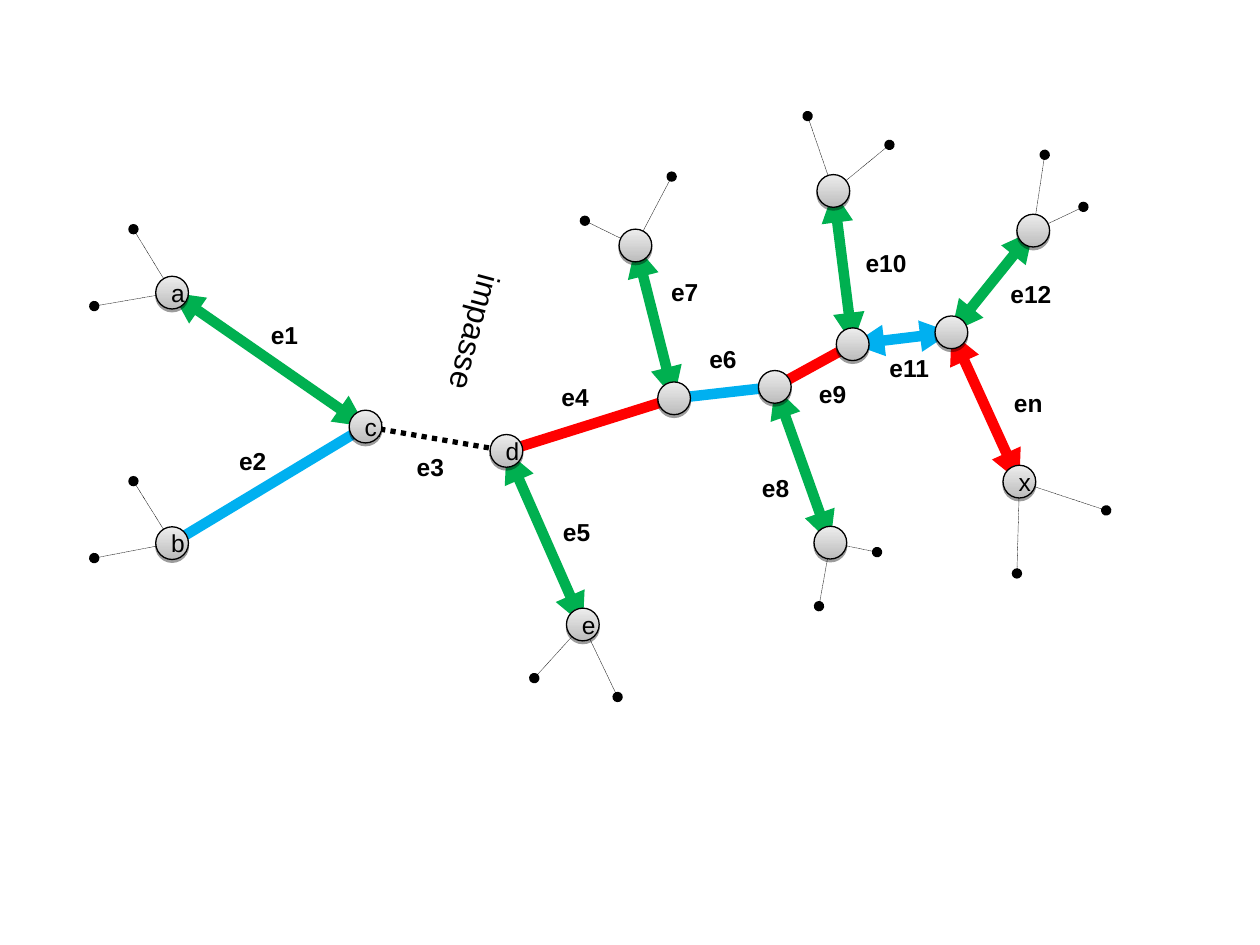
"""Build a slide with a tree of nodes joined by labelled, coloured edges."""
from lxml.etree import SubElement
from pptx import Presentation
from pptx.dml.color import RGBColor
from pptx.enum.dml import MSO_LINE
from pptx.enum.shapes import MSO_CONNECTOR, MSO_SHAPE
from pptx.enum.text import MSO_ANCHOR, MSO_AUTO_SIZE, PP_ALIGN
from pptx.oxml.ns import qn
from pptx.util import Cm, Pt

BLACK = RGBColor(0, 0, 0)
GREEN = RGBColor(0x00, 0xB0, 0x50)
BLUE = RGBColor(0x00, 0xB0, 0xF0)
RED = RGBColor(0xFF, 0, 0)
NODE_TOP = RGBColor(0xED, 0xED, 0xED)
NODE_BOTTOM = RGBColor(0xBC, 0xBC, 0xBC)
FONT = "Arial"
NODE_SIZE = 0.66
LABEL_HEIGHT = 0.86
LABEL_WIDTHS = {2: 1.1, 3: 1.36}

# name: (centre x, centre y, text, leaf ends)
NODES = {
    "c": (7.37, 8.6, "c", []),
    "d": (10.21, 9.09, "d", []),
    "hub 1": (13.59, 8.03, "", []),
    "hub 2": (15.62, 7.8, "", []),
    "hub 3": (17.19, 6.94, "", []),
    "hub 4": (19.18, 6.7, "", []),
    "x": (20.55, 9.71, "x", [(20.5, 11.56), (22.3, 10.29)]),
    "b": (3.47, 10.95, "b", [(2.69, 9.7), (1.9, 11.25)]),
    "e": (11.75, 12.59, "e", [(10.77, 13.67), (12.45, 14.05)]),
    "a": (3.47, 5.9, "a", [(2.69, 4.62), (1.9, 6.17)]),
    "top 1": (12.81, 4.95, "", [(13.54, 3.56), (11.79, 4.45)]),
    "top 2": (16.8, 3.85, "", [(17.93, 2.92), (16.28, 2.34)]),
    "top 3": (20.83, 4.65, "", [(21.84, 4.17), (21.06, 3.12)]),
    "low": (16.74, 10.94, "", [(16.51, 12.22), (17.68, 11.13)]),
}

# label, label left, label top, start, end, colour, line ends
EDGES = [
    ("e1", 5.21, 6.32, "a", "c", GREEN, "triangle"),
    ("e5", 11.1, 10.29, "e", "d", GREEN, "triangle"),
    ("e7", 13.28, 5.46, "hub 1", "top 1", GREEN, "triangle"),
    ("e8", 15.11, 9.42, "low", "hub 2", GREEN, "triangle"),
    ("e10", 17.2, 4.88, "hub 3", "top 2", GREEN, "triangle"),
    ("e12", 20.12, 5.51, "hub 4", "top 3", GREEN, "triangle"),
    ("e2", 4.57, 8.86, "b", "c", BLUE, "oval"),
    ("e3", 8.15, 8.99, "c", "d", BLACK, "triangle"),
    ("e4", 11.07, 7.57, "hub 1", "d", RED, "oval"),
    ("e6", 14.05, 6.81, "hub 2", "hub 1", BLUE, "oval"),
    ("e9", 16.26, 7.52, "hub 3", "hub 2", RED, "oval"),
    ("e11", 17.68, 6.99, "hub 4", "hub 3", BLUE, "triangle"),
    ("en", 20.19, 7.7, "x", "hub 4", RED, "triangle"),
]


def add_line(page, start, end, color, width, ends, dotted=False):
    line = page.shapes.add_connector(
        MSO_CONNECTOR.STRAIGHT, *(Cm(value) for value in (*start, *end)))
    line.line.color.rgb = color
    line.line.width = Pt(width)
    if dotted:
        line.line.dash_style = MSO_LINE.ROUND_DOT
    properties = line.element.spPr
    for tag in ("a:headEnd", "a:tailEnd"):
        SubElement(properties.find(qn("a:ln")), qn(tag), type=ends)
    SubElement(properties, qn("a:effectLst"))


def write(shape, text, size, bold=False):
    shape.text_frame.text = text
    para = shape.text_frame.paragraphs[0]
    for span in para.runs:
        span.font.name = FONT
        span.font.size = Pt(size)
        span.font.bold = bold
        span.font.color.rgb = BLACK
    return para


def add_label(page, text, left, top, width, height, size, bold=False):
    box = page.shapes.add_textbox(Cm(left), Cm(top), Cm(width), Cm(height))
    write(box, text, size, bold)
    box.text_frame.word_wrap = False
    box.text_frame.auto_size = MSO_AUTO_SIZE.SHAPE_TO_FIT_TEXT
    return box


def add_node(page, x, y, text):
    node = page.shapes.add_shape(
        MSO_SHAPE.OVAL, Cm(x - NODE_SIZE / 2), Cm(y - NODE_SIZE / 2),
        Cm(NODE_SIZE), Cm(NODE_SIZE))
    node.fill.gradient()
    node.fill.gradient_angle = 90
    for stop, color in zip(node.fill.gradient_stops, (NODE_BOTTOM, NODE_TOP)):
        stop.color.rgb = color
    node.line.color.rgb = BLACK
    node.line.width = Pt(0.75)
    node.shadow.inherit = False
    effects = node.element.spPr.find(qn("a:effectLst"))
    shadow = SubElement(effects, qn("a:outerShdw"), blurRad="0",
                        dist=str(Pt(1.6)), dir="5400000", rotWithShape="0")
    shade = SubElement(shadow, qn("a:srgbClr"), val=str(BLACK))
    SubElement(shade, qn("a:alpha"), val="38000")
    if text:
        write(node, text, 14).alignment = PP_ALIGN.CENTER
        node.text_frame.vertical_anchor = MSO_ANCHOR.MIDDLE


def main():
    deck = Presentation()
    deck.slide_width, deck.slide_height = Cm(25.4), Cm(19.05)
    page = deck.slides.add_slide(deck.slide_layouts[6])
    for x, y, _, leaves in NODES.values():
        for leaf in leaves:
            add_line(page, leaf, (x, y), BLACK, 0.25, "oval", dotted=True)
    for _, _, _, start, end, color, ends in EDGES:
        dotted = color == BLACK
        add_line(page, NODES[start][:2], NODES[end][:2], color,
                 3 if dotted else 6, ends, dotted)
    for x, y, text, _ in NODES.values():
        add_node(page, x, y, text)
    for text, left, top, *_ in EDGES:
        add_label(page, text, left, top, LABEL_WIDTHS[len(text)],
                  LABEL_HEIGHT, 14, bold=True)
    add_label(page, "impasse", 8.15, 6.2, 2.87, 1.02, 18).rotation = 105
    deck.save("out.pptx")


if __name__ == "__main__":
    main()
